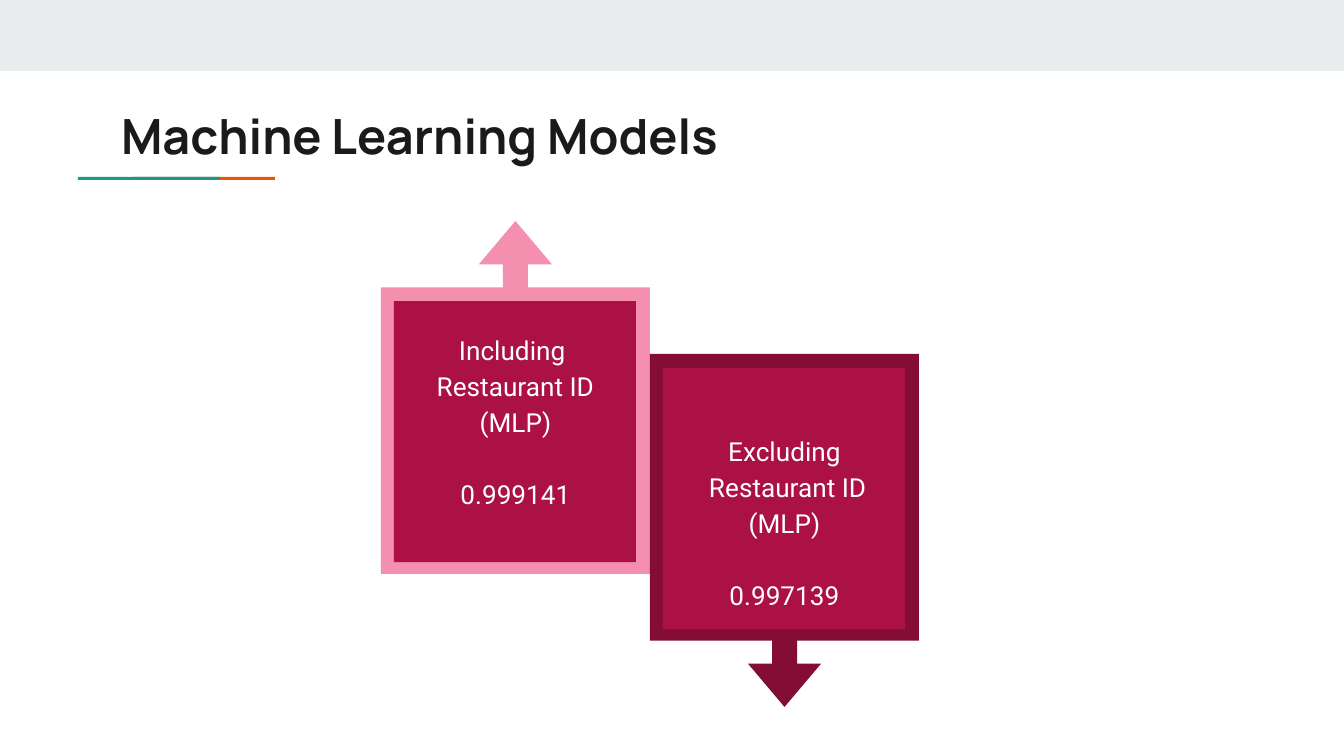
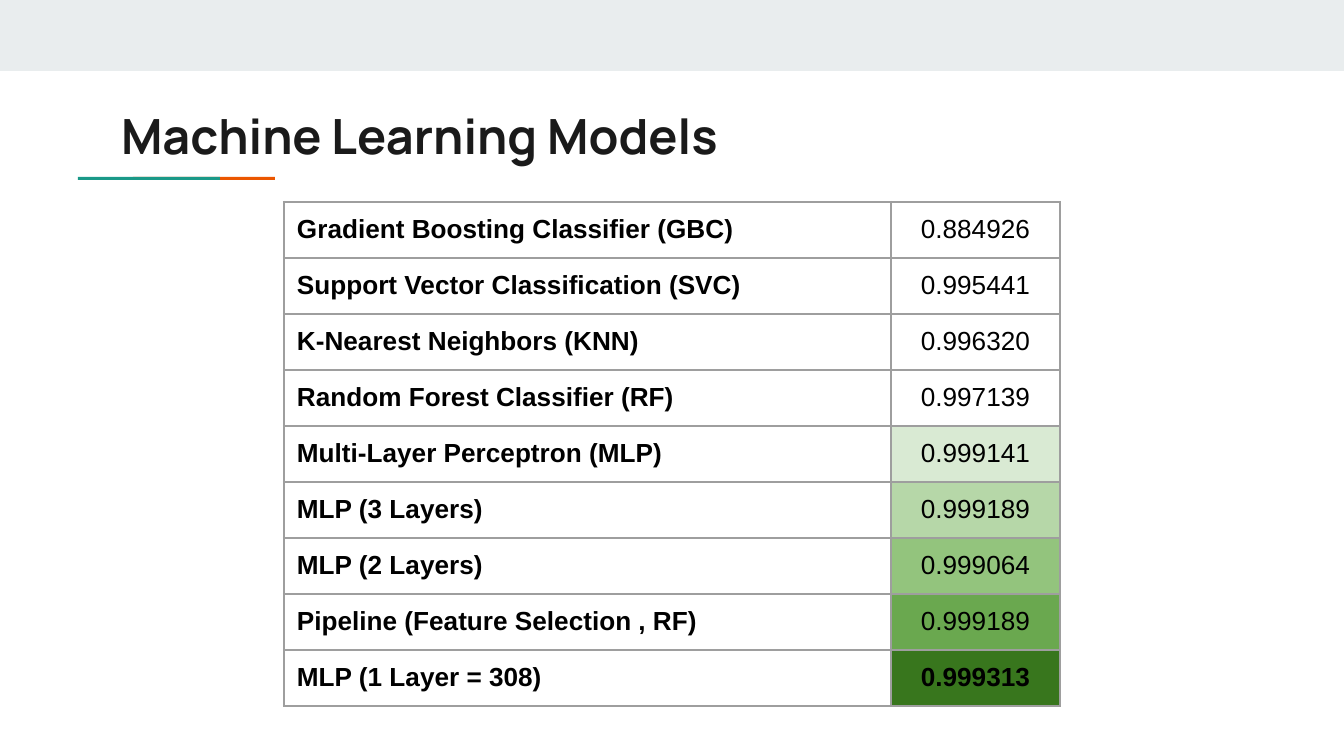
"""Builds two slides that compare machine learning models."""
import lxml.etree
import pptx
import pptx.dml.color
import pptx.enum.shapes
import pptx.enum.text
import pptx.oxml.ns
import pptx.util

TITLE = "Machine Learning Models"
HUES = {
    "band": "E9EDEE", "teal": "1A9988", "orange": "EB5600", "ink": "1A1A1A",
    "pink": "F48FB0", "wine": "840D35", "rose": "AC1145", "white": "FFFFFF",
    "black": "000000", "grid": "9E9E9E", "mint": "D9EAD3", "pale": "B6D7A8",
    "leaf": "93C47D", "grass": "6AA84F", "forest": "38761D",
}
PANELS = [
    {"lines": ["Including \nRestaurant ID", "(MLP)", "0.999141"], "frame": "pink",
     "turn": 270, "callout": (339, 263), "face": (394, 301), "text": (414, 317)},
    {"lines": ["Excluding\n Restaurant ID", "(MLP)", "0.997139"], "frame": "wine",
     "turn": 90, "callout": (608, 396), "face": (663, 368), "text": (683, 418)},
]
SCORES = [
    ("Gradient Boosting Classifier (GBC)", "0.884926", None),
    ("Support Vector Classification (SVC)", "0.995441", None),
    ("K-Nearest Neighbors (KNN)", "0.996320", None),
    ("Random Forest Classifier (RF)", "0.997139", None),
    ("Multi-Layer Perceptron (MLP)", "0.999141", "mint"),
    ("MLP (3 Layers)", "0.999189", "pale"),
    ("MLP (2 Layers)", "0.999064", "leaf"),
    ("Pipeline (Feature Selection , RF)", "0.999189", "grass"),
    ("MLP (1 Layer = 308)", "0.999313", "forest"),
]
COLS = (607, 169)
ROW = 56
INSET = 13
KIND = pptx.enum.shapes.MSO_SHAPE
ALIGN = pptx.enum.text.PP_ALIGN
TOP = pptx.enum.text.MSO_ANCHOR.TOP


def px(n):
    return pptx.util.Emu(round(n * 914400 / 134.4))


def rgb(name):
    return pptx.dml.color.RGBColor.from_string(HUES[name])


def block(shapes, kind, box, hue, turn=0, adjust=()):
    shape = shapes.add_shape(kind, *map(px, box))
    shape.shadow.inherit = False
    shape.fill.solid()
    shape.fill.fore_color.rgb = rgb(hue)
    shape.line.fill.background()
    shape.rotation = turn
    for i, value in enumerate(adjust):
        shape.adjustments[i] = value


def write(para, text, face, size, hue, bold=False, align=ALIGN.LEFT):
    para.alignment = align
    for i, line in enumerate(text.split("\n")):
        if i:
            para.add_line_break()
        run = para.add_run()
        run.text = line
        run.font.name = face
        run.font.size = pptx.util.Pt(size)
        run.font.bold = bold
        run.font.color.rgb = rgb(hue)


def pad(item):
    item.margin_left = item.margin_right = px(INSET)
    item.margin_top = item.margin_bottom = px(INSET)
    item.vertical_anchor = TOP


def start(deck):
    slide = deck.slides.add_slide(deck.slide_layouts[5])
    block(slide.shapes, KIND.RECTANGLE, (0, 0, 1344, 71), "band")
    rule = slide.shapes.add_group_shape().shapes
    for left, hue in ((133, "orange"), (78, "teal")):
        block(rule, KIND.RECTANGLE, (left, 177, 142, 3), hue)
    title = slide.shapes.title
    title.left, title.top, title.width, title.height = map(px, (108, 93, 1130, 79))
    frame = title.text_frame
    frame.auto_size = pptx.enum.text.MSO_AUTO_SIZE.NONE
    frame.word_wrap = True
    pad(frame)
    write(frame.paragraphs[0], TITLE, "Manrope", 26, "ink", True)
    return slide


def panel(slide, data):
    shapes = slide.shapes.add_group_shape().shapes
    block(shapes, KIND.RIGHT_ARROW_CALLOUT, (*data["callout"], 353, 269),
          data["frame"], data["turn"], (0.093, 0.136, 0.161, 0.812))
    block(shapes, KIND.SNIP_1_RECTANGLE, (*data["face"], 242, 261), "rose", 0, (0,))
    frame = shapes.add_textbox(*map(px, (*data["text"], 203, 216))).text_frame
    frame.word_wrap = True
    pad(frame)
    for i, line in enumerate(data["lines"]):
        para = frame.add_paragraph() if i else frame.paragraphs[0]
        para.line_spacing = 1.15
        write(para, line, "Roboto", 14, "white", align=ALIGN.CENTER)
    para.space_before = pptx.util.Pt(19)


def edge(cell):
    props = cell._tc.get_or_add_tcPr()
    for i, side in enumerate(("a:lnL", "a:lnR", "a:lnT", "a:lnB")):
        line = lxml.etree.Element(pptx.oxml.ns.qn(side), w=str(pptx.util.Pt(1.5)))
        fill = lxml.etree.SubElement(line, pptx.oxml.ns.qn("a:solidFill"))
        lxml.etree.SubElement(fill, pptx.oxml.ns.qn("a:srgbClr"), val=HUES["grid"])
        props.insert(i, line)


def chart(slide):
    box = (284, 202, sum(COLS), ROW * len(SCORES))
    table = slide.shapes.add_table(len(SCORES), len(COLS), *map(px, box)).table
    table.first_row = table.horz_banding = False
    for col, width in zip(table.columns, COLS):
        col.width = px(width)
    for r, (name, score, hue) in enumerate(SCORES):
        table.rows[r].height = px(ROW)
        best = r == len(SCORES) - 1
        parts = ((name, None, True, ALIGN.LEFT), (score, hue, best, ALIGN.CENTER))
        for c, (text, tint, bold, align) in enumerate(parts):
            cell = table.cell(r, c)
            pad(cell)
            if tint:
                cell.fill.solid()
                cell.fill.fore_color.rgb = rgb(tint)
            else:
                cell.fill.background()
            edge(cell)
            write(cell.text_frame.paragraphs[0], text, "Arial", 14, "black", bold, align)


def main():
    deck = pptx.Presentation()
    deck.slide_width, deck.slide_height = px(1344), px(756)
    first = start(deck)
    for data in PANELS:
        panel(first, data)
    chart(start(deck))
    deck.save("out.pptx")


if __name__ == "__main__":
    main()
